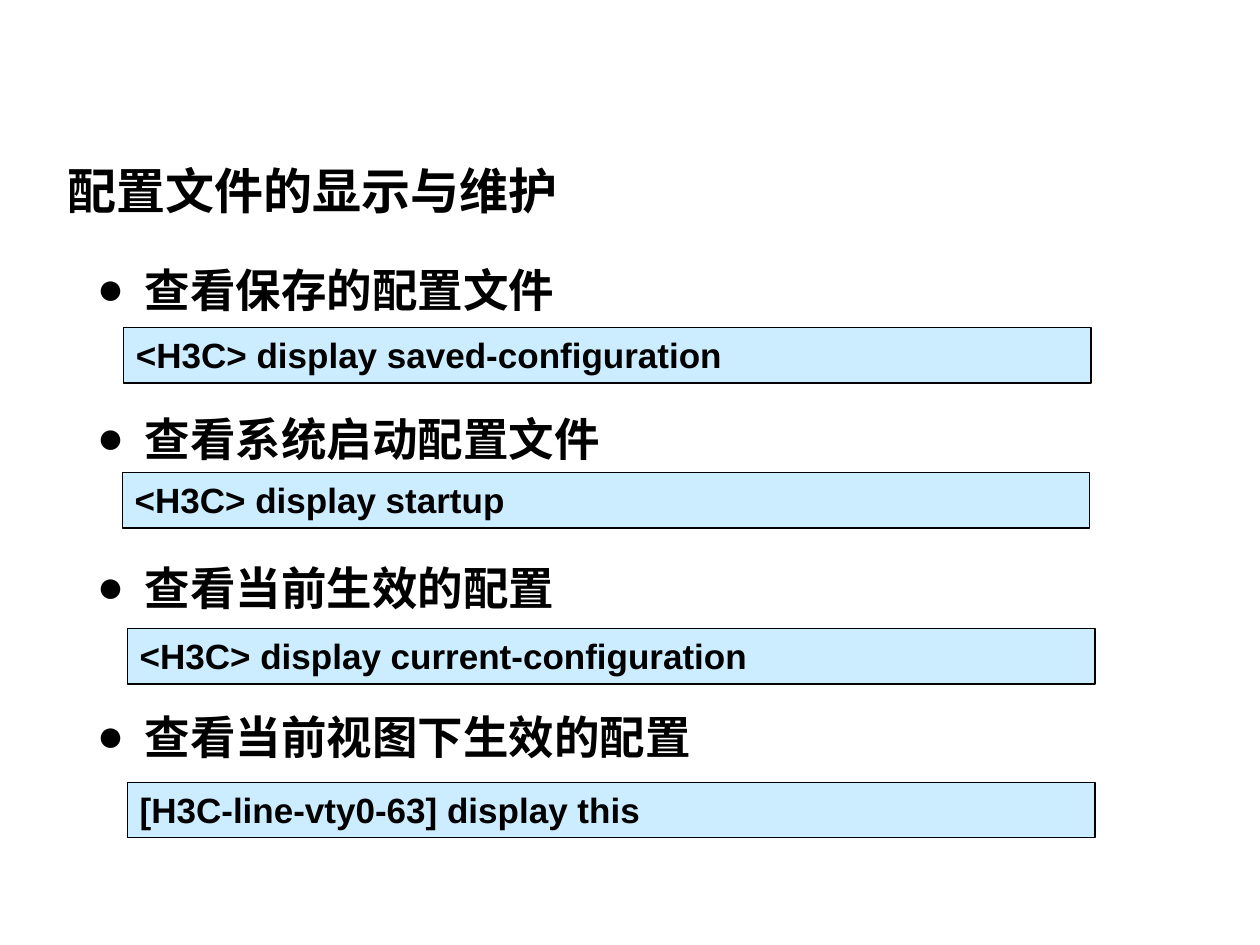
from lxml.etree import SubElement
from pptx import Presentation
from pptx.dml.color import RGBColor
from pptx.enum.shapes import MSO_SHAPE
from pptx.enum.text import MSO_ANCHOR, PP_ALIGN
from pptx.oxml.ns import qn
from pptx.util import Inches, Pt

COLORS = {"ink": "000000", "command": "CCECFF"}
TITLE_FONT = "Noto Sans CJK JP"
BODY_FONT = "Noto Sans CJK SC"
COMMAND_FONT = "Arial"
TOPICS = ["查看保存的配置文件", "查看系统启动配置文件", "查看当前生效的配置", "查看当前视图下生效的配置"]
COMMANDS = [
    (0.98, 2.6, "<H3C> display saved-configuration"),
    (0.97, 3.75, "<H3C> display startup"),
    (1.01, 4.99, "<H3C> display current-configuration"),
    (1.01, 6.21, "[H3C-line-vty0-63] display this"),
]


def color(name):
    return RGBColor.from_string(COLORS[name])


def add_span(para, text, size, font):
    para.alignment = PP_ALIGN.LEFT
    span = para.add_run()
    span.text = text
    span.font.size = Pt(size)
    span.font.bold = True
    span.font.name = font
    span.font.color.rgb = color("ink")
    SubElement(span.font._element, qn("a:ea"), typeface=font)


def add_text_box(page, left, top, width, height, anchor):
    box = page.shapes.add_textbox(Inches(left), Inches(top), Inches(width), Inches(height))
    box.text_frame.word_wrap = True
    box.text_frame.vertical_anchor = anchor
    return box.text_frame


def add_title(page, left, top, width, height):
    frame = add_text_box(page, left, top, width, height, MSO_ANCHOR.MIDDLE)
    add_span(frame.paragraphs[0], "配置文件的显示与维护", 28, TITLE_FONT)


def add_topics(page, left, top, width, height):
    frame = add_text_box(page, left, top, width, height, MSO_ANCHOR.TOP)
    for index, topic in enumerate(TOPICS):
        para = frame.paragraphs[0] if index == 0 else frame.add_paragraph()
        properties = para._p.get_or_add_pPr()
        properties.set("marL", str(Inches(0.38)))
        properties.set("indent", str(Inches(-0.38)))
        SubElement(properties, qn("a:buFont"), typeface=COMMAND_FONT)
        SubElement(properties, qn("a:buChar"), char="●")
        para.line_spacing = 1.2
        if index:
            para.space_before = Pt(47.8)
        add_span(para, topic, 26, BODY_FONT)


def add_command(page, left, top, width, height, command):
    box = page.shapes.add_shape(
        MSO_SHAPE.RECTANGLE, Inches(left), Inches(top), Inches(width), Inches(height)
    )
    box.shadow.inherit = False
    box.fill.solid()
    box.fill.fore_color.rgb = color("command")
    box.line.color.rgb = color("ink")
    box.line.width = Pt(0.75)
    box.text_frame.word_wrap = True
    box.text_frame.vertical_anchor = MSO_ANCHOR.TOP
    add_span(box.text_frame.paragraphs[0], command, 20, COMMAND_FONT)


def main():
    deck = Presentation()
    deck.slide_width, deck.slide_height = Inches(10), Inches(7.5)
    page = deck.slides.add_slide(deck.slide_layouts[6])
    add_title(page, 0.44, 1.15, 8.61, 0.71)
    add_topics(page, 0.67, 1.94, 8.03, 5.2)
    for left, top, command in COMMANDS:
        add_command(page, left, top, 7.68, 0.44, command)
    deck.save("out.pptx")


if __name__ == "__main__":
    main()
